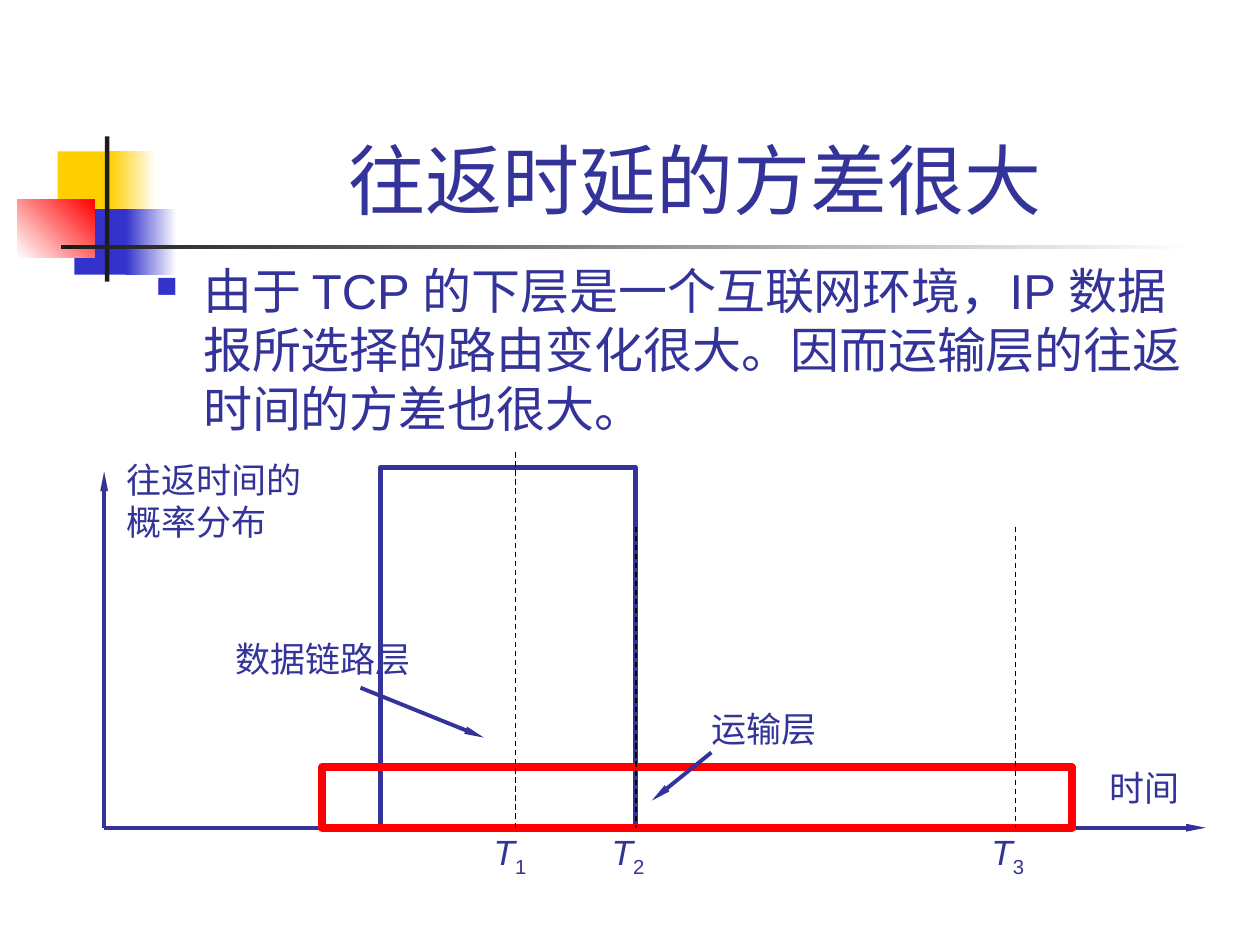
from dataclasses import dataclass

from lxml import etree
from pptx import Presentation
from pptx.dml.color import RGBColor
from pptx.enum import dml, shapes, text
from pptx.oxml.ns import qn
from pptx.util import Pt


@dataclass(frozen=True)
class Theme:
    font: str = "Arial"
    ink: str = "333399"
    red: str = "FF0000"
    yellow: str = "FFCF01"
    blue: str = "3333CC"
    dark: str = "1C1C1C"
    white: str = "FFFFFF"
    black: str = "000000"
    title_size: int = 44
    body_size: int = 28
    label_size: int = 20


THEME = Theme()


def rgb(value):
    return RGBColor.from_string(value)


def set_font(paragraph, size):
    paragraph.font.name = THEME.font
    paragraph.font.size = Pt(size)
    paragraph.font.color.rgb = rgb(THEME.ink)


def add_rectangle(slide, left, top, width, height):
    shape = slide.shapes.add_shape(
        shapes.MSO_SHAPE.RECTANGLE, Pt(left), Pt(top), Pt(width), Pt(height))
    shape.shadow.inherit = False
    return shape


def add_block(slide, left, top, width, height, *colors, angle=0):
    """Borderless rectangle: one colour is solid, two make a gradient."""
    shape = add_rectangle(slide, left, top, width, height)
    shape.line.fill.background()
    if len(colors) == 1:
        shape.fill.solid()
        shape.fill.fore_color.rgb = rgb(colors[0])
        return
    shape.fill.gradient()
    shape.fill.gradient_angle = angle
    for stop, color, position in zip(shape.fill.gradient_stops, colors, (0, 1)):
        stop.color.rgb = rgb(color)
        stop.position = position


def add_outline(slide, left, top, width, height, color, weight):
    shape = add_rectangle(slide, left, top, width, height)
    shape.fill.background()
    shape.line.color.rgb = rgb(color)
    shape.line.width = Pt(weight)


def add_line(slide, start, end, color, weight):
    line = slide.shapes.add_connector(
        shapes.MSO_CONNECTOR.STRAIGHT, *map(Pt, (*start, *end)))
    line.line.color.rgb = rgb(color)
    line.line.width = Pt(weight)
    etree.SubElement(line._element.spPr, qn("a:effectLst"))
    return line


def add_arrow(slide, start, end):
    arrow = add_line(slide, start, end, THEME.ink, 2.25)
    etree.SubElement(arrow.line._get_or_add_ln(), qn("a:tailEnd"),
                     type="triangle", w="sm", len="lg")


def add_label(slide, left, top, width, height, *lines):
    box = slide.shapes.add_textbox(Pt(left), Pt(top), Pt(width), Pt(height))
    frame = box.text_frame
    frame.word_wrap = False
    frame.auto_size = text.MSO_AUTO_SIZE.SHAPE_TO_FIT_TEXT
    frame.text = "\n".join(lines)
    for paragraph in frame.paragraphs:
        set_font(paragraph, THEME.label_size)
    return frame.paragraphs[0]


def add_time_label(slide, left, top, index):
    paragraph = add_label(slide, left, top, 33, 34.5, "T")
    paragraph.runs[0].font.italic = True
    subscript = paragraph.add_run()
    subscript.text = str(index)
    subscript._r.get_or_add_rPr().set("baseline", "-25000")


def draw_ornament(slide, left, top):
    for x, y, width, height, *colors in (
            (23, 8.5, 34.5, 37.5, THEME.yellow),
            (53, 8.5, 26, 37.5, THEME.yellow, THEME.white),
            (32.5, 41.5, 33, 37.5, THEME.blue),
            (62, 41.5, 29, 37.5, THEME.blue, THEME.white)):
        add_block(slide, left + x, top + y, width, height, *colors)
    add_block(slide, left, top + 36, 44, 33, THEME.white, THEME.red, angle=45)
    add_block(slide, left + 50, top, 2.5, 83, THEME.dark)
    add_block(slide, left + 25, top + 62, 648, 2.5, THEME.dark, THEME.white)


def place_title(slide, left, top, width, height):
    title = slide.shapes.title
    title.left, title.top, title.width, title.height = map(
        Pt, (left, top, width, height))
    frame = title.text_frame
    frame.text = "往返时延的方差很大"
    frame.vertical_anchor = text.MSO_ANCHOR.BOTTOM
    paragraph = frame.paragraphs[0]
    paragraph.alignment = text.PP_ALIGN.CENTER
    set_font(paragraph, THEME.title_size)


def place_body(slide, left, top, width, height):
    box = slide.shapes.add_textbox(Pt(left), Pt(top), Pt(width), Pt(height))
    frame = box.text_frame
    frame.word_wrap = True
    frame.text = ("由于 TCP 的下层是一个互联网环境，IP 数据报所选择的路由变化很大。"
                  "因而运输层的往返时间的方差也很大。")
    paragraph = frame.paragraphs[0]
    properties = paragraph._p.get_or_add_pPr()
    properties.set("marL", str(Pt(27)))
    properties.set("indent", str(Pt(-27)))
    color = etree.SubElement(properties, qn("a:buClr"))
    etree.SubElement(color, qn("a:srgbClr"), val=THEME.blue)
    etree.SubElement(properties, qn("a:buSzPct"), val="60000")
    etree.SubElement(properties, qn("a:buChar"), char="■")
    set_font(paragraph, THEME.body_size)


def draw_distribution(slide, left, top, width, height):
    """Two delay distributions over a time axis on the bottom of the box."""
    right, axis = left + width, top + height
    add_arrow(slide, (left, axis), (right, axis))
    add_arrow(slide, (left, axis), (left, top + 11))
    add_outline(slide, left + 158, top + 8.5, 145.5, height - 8.5, THEME.ink, 3)
    add_outline(slide, left + 124.5, axis - 34.5, 428.5, 34.5, THEME.red, 4.5)

    markers = ((235, 0, 215.5), (304, 42.5, 283), (521, 42.5, 500))
    for index, (x, y, label_x) in enumerate(markers, start=1):
        line = add_line(slide, (left + x, top + y), (left + x, axis),
                        THEME.black, 0.75)
        line.line.dash_style = dml.MSO_LINE.DASH
        add_time_label(slide, left + label_x, axis - 2, index)

    add_label(slide, left + 5.5, top, 118, 55.5, "往返时间的", "概率分布")
    add_label(slide, left + 567.5, top + 176, 58, 31.5, "时间")
    add_label(slide, left + 68, top + 102.5, 118, 31.5, "数据链路层")
    add_label(slide, left + 340, top + 142, 78, 31.5, "运输层")
    add_arrow(slide, (left + 146.5, top + 134.5), (left + 217, top + 163))
    add_arrow(slide, (left + 347, top + 171.5), (left + 313, top + 199))


def main():
    presentation = Presentation()
    presentation.slide_width, presentation.slide_height = Pt(720), Pt(540)
    slide = presentation.slides.add_slide(presentation.slide_layouts[5])
    draw_ornament(slide, 10, 78)
    place_title(slide, 90.5, 17, 613.5, 115)
    place_body(slide, 82, 145.5, 612, 113)
    draw_distribution(slide, 59.5, 258.5, 629.5, 214.5)
    presentation.save("out.pptx")


if __name__ == "__main__":
    main()
